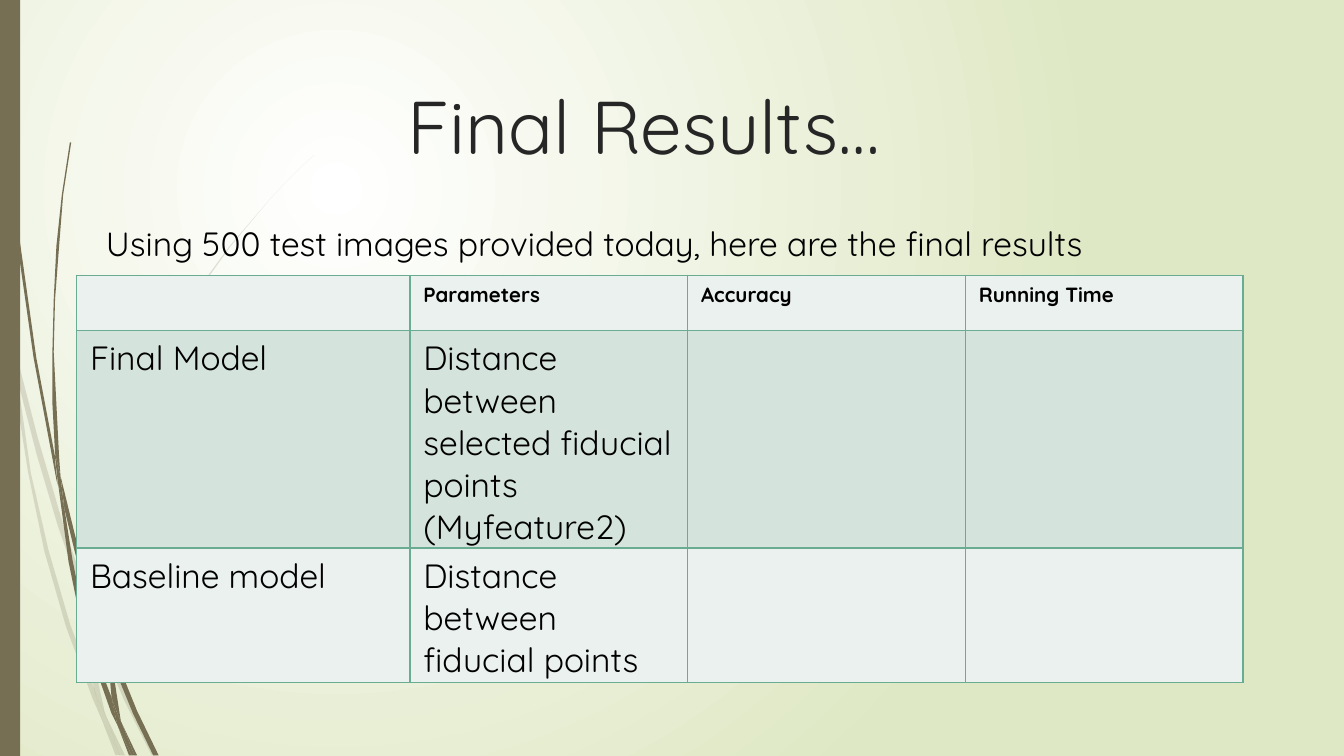
"""Build the "Final Results" slide with a results table over a grass-blade backdrop."""
from lxml import etree
from pptx import Presentation
from pptx.dml.color import RGBColor
from pptx.enum.shapes import MSO_SHAPE
from pptx.enum.text import MSO_ANCHOR, PP_ALIGN
from pptx.oxml import parse_xml
from pptx.oxml.ns import qn
from pptx.util import Inches, Pt

RECTANGLE = MSO_SHAPE.RECTANGLE
BOTTOM = MSO_ANCHOR.BOTTOM
LEFT = PP_ALIGN.LEFT

FONT = "Quicksand"
BROWN = RGBColor(0x76, 0x6F, 0x54)
BLACK = RGBColor(0x00, 0x00, 0x00)
CHARCOAL = RGBColor(0x26, 0x26, 0x26)
BORDER = RGBColor(0x6A, 0xAC, 0x91)
LIGHT_BAND = RGBColor(0xEB, 0xF1, 0xEE)
DARK_BAND = RGBColor(0xD4, 0xE3, 0xDC)

DRAWING_NAMESPACE = "http://schemas.openxmlformats.org/drawingml/2006/main"
BACKGROUND = f"""
<p:bg xmlns:p="http://schemas.openxmlformats.org/presentationml/2006/main" xmlns:a="{DRAWING_NAMESPACE}">
  <p:bgPr>
    <a:gradFill rotWithShape="1">
      <a:gsLst>
        <a:gs pos="0"><a:srgbClr val="FFFFFF"/></a:gs>
        <a:gs pos="100000"><a:srgbClr val="DFE8C4"/></a:gs>
      </a:gsLst>
      <a:path path="circle"><a:fillToRect l="50000" t="50000" r="100000" b="100000"/></a:path>
    </a:gradFill>
    <a:effectLst/>
  </p:bgPr>
</p:bg>"""

BLADE_UNIT = Inches(0.01)
PALE_BLADES = [
    [(8, 263), (6, 241), (0, 211), (0, 224), (8, 258)],
    [(43, 391), (63, 449), (64, 440), (47, 390), (28, 325), (11, 259), (13, 282), (27, 337)],
    [(69, 455), (66, 447), (66, 458), (92, 520), (113, 562), (116, 562), (95, 519)],
    [(89, 562), (93, 562), (79, 533)],
    [(70, 512), (52, 464), (36, 409), (23, 352), (13, 282), (8, 263), (14, 308), (21, 352),
     (33, 410), (49, 466), (69, 520), (76, 536), (74, 530)],
    [(63, 449), (65, 485), (70, 512), (72, 519), (79, 533), (78, 530), (68, 484), (66, 458), (66, 456)],
    [(66, 438), (71, 392), (83, 347), (99, 303), (120, 261), (144, 222), (171, 184), (201, 148),
     (217, 131), (234, 115), (217, 131), (201, 148), (171, 183), (143, 221), (118, 261), (97, 302),
     (81, 346), (69, 391), (64, 438), (64, 440), (66, 447)],
    [(76, 536), (86, 562), (89, 562)],
    [(66, 456), (66, 458), (66, 447), (64, 440), (63, 449)],
    [(72, 519), (70, 512), (74, 530), (76, 536), (89, 562), (79, 533)],
]
DARK_BLADES = [
    [(5, 82), (12, 175), (25, 266), (42, 357), (43, 361), (41, 343), (41, 340), (27, 266),
     (14, 174), (6, 82), (3, 36), (3, 0), (2, 0), (3, 36)],
    [(66, 444), (80, 484), (80, 475), (80, 473), (70, 443), (56, 399), (45, 354), (48, 379), (56, 412)],
    [(85, 487), (83, 481), (83, 492), (99, 531), (114, 562), (118, 562), (102, 529)],
    [(83, 519), (73, 493), (62, 456), (54, 417), (48, 379), (43, 358), (51, 418), (59, 457),
     (70, 494), (83, 531), (88, 541), (87, 538)],
    [(45, 354), (44, 340), (40, 262), (41, 223), (44, 183), (47, 145), (53, 106), (52, 106),
     (46, 145), (42, 183), (40, 223), (39, 262), (39, 300), (41, 337)],
    [(100, 562), (102, 562), (91, 539)],
    [(43, 358), (48, 379), (45, 354), (41, 337), (41, 340)],
    [(83, 475), (86, 444), (94, 414), (105, 385), (119, 357), (153, 305), (173, 281), (184, 269),
     (196, 258), (195, 258), (184, 269), (173, 280), (153, 304), (117, 356), (103, 384),
     (92, 413), (83, 443), (80, 473), (83, 481)],
    [(88, 541), (96, 562), (98, 562)],
    [(80, 484), (83, 519), (87, 530), (91, 539), (90, 537), (83, 492), (81, 488)],
    [(80, 484), (81, 488), (83, 492), (83, 481), (80, 473), (80, 475)],
    [(87, 530), (83, 519), (87, 538), (88, 541), (98, 562), (100, 562), (91, 539)],
]

RESULTS = [
    ["", "Parameters", "Accuracy", "Running Time"],
    ["Final Model", "Distance between selected fiducial points (Myfeature2)", "", ""],
    ["Baseline model", "Distance between fiducial points", "", ""],
]
ROW_HEIGHTS = [0.41, 1.6, 1]
ROW_FILLS = [LIGHT_BAND, DARK_BAND, LIGHT_BAND]
TABLE_WIDTH = 8.68
LABEL_WIDTH = 2.48
COLUMN_WIDTHS = [LABEL_WIDTH] + [(TABLE_WIDTH - LABEL_WIDTH) / 3] * 3


def add_text(paragraph, text, size, color, bold=False):
    run = paragraph.add_run()
    run.text = text
    run.font.name = FONT
    run.font.size = Pt(size)
    run.font.bold = bold
    run.font.color.rgb = color


def paint(shape):
    shape.shadow.inherit = False
    shape.fill.solid()
    shape.fill.fore_color.rgb = BROWN
    shape.line.fill.background()


presentation = Presentation()
presentation.slide_width = Inches(10)
presentation.slide_height = Inches(10) * 9 // 16
slide = presentation.slides.add_slide(presentation.slide_layouts[5])
slide.element.cSld.insert(0, parse_xml(BACKGROUND))

for blades, opacity in ((PALE_BLADES, 20), (DARK_BLADES, 100)):
    for start, *points in blades:
        builder = slide.shapes.build_freeform(*start, scale=BLADE_UNIT)
        builder.add_line_segments(points, close=True)
        blade = builder.convert_to_shape()
        paint(blade)
        if opacity < 100:
            color = blade.element.spPr.find(f".//{qn('a:srgbClr')}")
            etree.SubElement(color, qn("a:alpha")).set("val", str(opacity * 1000))

side_bar = slide.shapes.add_shape(RECTANGLE, 0, 0, Inches(0.15), presentation.slide_height)
paint(side_bar)

table_frame = slide.shapes.add_table(
    len(RESULTS), len(COLUMN_WIDTHS), Inches(0.57), Inches(2.05),
    Inches(TABLE_WIDTH), Inches(sum(ROW_HEIGHTS)))
table = table_frame.table
for column, width in zip(table.columns, COLUMN_WIDTHS):
    column.width = Inches(width)
for row_index, (row, height, texts) in enumerate(zip(table.rows, ROW_HEIGHTS, RESULTS)):
    row.height = Inches(height)
    is_header = row_index == 0
    for cell, text in zip(row.cells, texts):
        cell.margin_bottom = 0
        cell_properties = cell._tc.get_or_add_tcPr()
        for side in ("lnL", "lnR", "lnT", "lnB"):
            border = etree.SubElement(cell_properties, qn(f"a:{side}"), w=str(Pt(1)))
            border_fill = etree.SubElement(border, qn("a:solidFill"))
            etree.SubElement(border_fill, qn("a:srgbClr"), val=str(BORDER))
        cell.fill.solid()
        cell.fill.fore_color.rgb = ROW_FILLS[row_index]
        if text:
            add_text(cell.text_frame.paragraphs[0], text, 11 if is_header else 18, BLACK, is_header)

title = slide.shapes.title
title.left, title.top = Inches(2.93), Inches(0.58)
title.width, title.height = Inches(4.47), Inches(0.78)
title_frame = title.text_frame
title_frame.vertical_anchor = BOTTOM
title_frame.margin_left = title_frame.margin_right = Inches(0.1)
title_frame.margin_top = title_frame.margin_bottom = Inches(0.1)
title_frame.paragraphs[0].alignment = LEFT
add_text(title_frame.paragraphs[0], "Final Results…", 40, CHARCOAL)

subtitle = slide.shapes.add_textbox(Inches(0.69), Inches(1.61), Inches(8.32), Inches(0.4))
subtitle.text_frame.word_wrap = True
add_text(subtitle.text_frame.paragraphs[0],
         "Using 500 test images provided today, here are the final results", 18, BLACK)

presentation.save("out.pptx")
